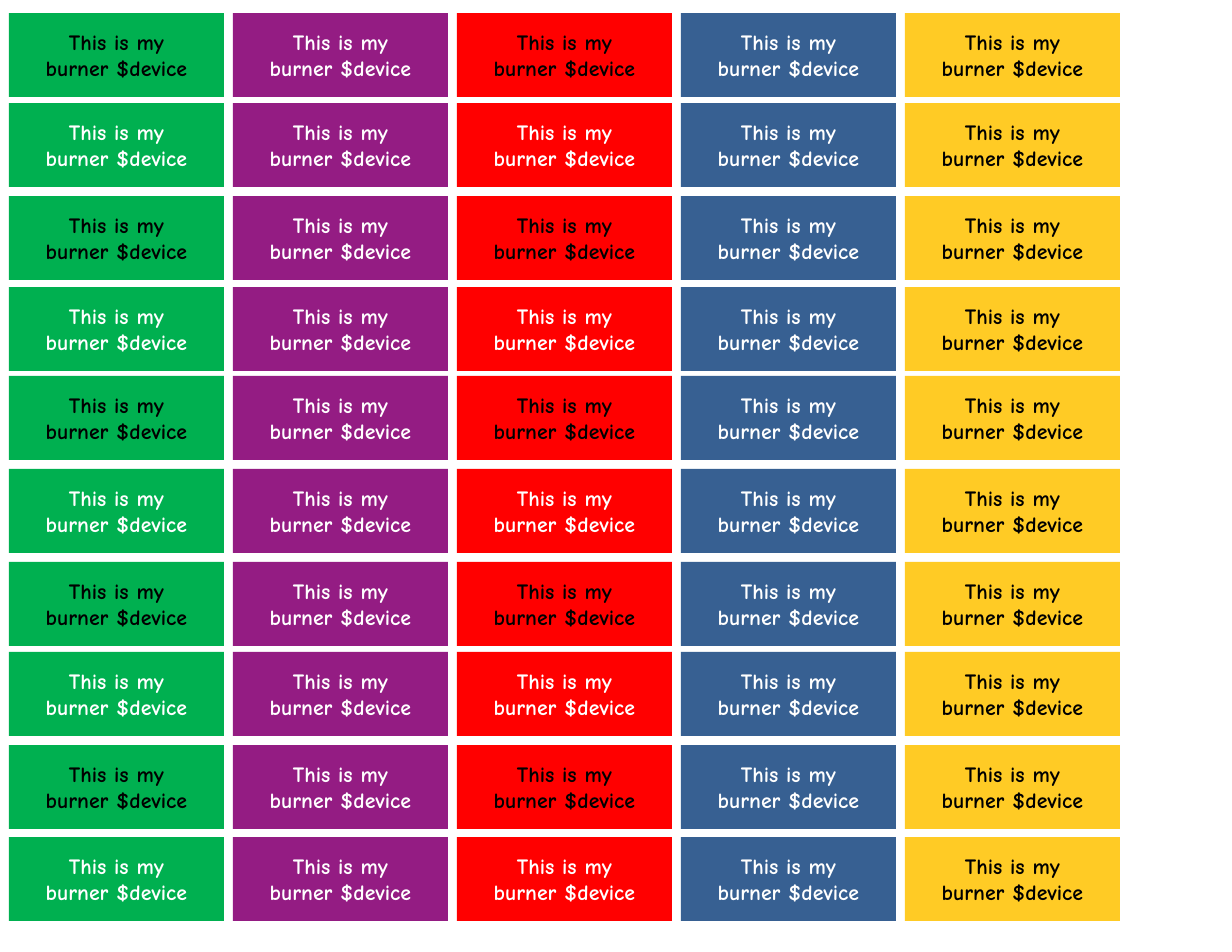
from pptx import Presentation
from pptx.dml.color import RGBColor
from pptx.enum.shapes import MSO_SHAPE
from pptx.enum.text import MSO_ANCHOR, PP_ALIGN
from pptx.util import Emu, Pt

RECT = MSO_SHAPE.RECTANGLE
MIDDLE = MSO_ANCHOR.MIDDLE
CENTER = PP_ALIGN.CENTER

FONT = "Comic Neue"
BLACK, WHITE = "000000", "FFFFFF"
LINES = ["This is my", "burner $device"]

# Column fill, then text colours for alternating rows
COLUMNS = [
    ("00B050", (BLACK, WHITE)),
    ("941C83", (WHITE, WHITE)),
    ("FF0000", (BLACK, WHITE)),
    ("376092", (WHITE, WHITE)),
    ("FFCB25", (BLACK, BLACK)),
]

# Label sheet, in px; row gaps vary slightly
LABEL_W, LABEL_H, PITCH = 215, 84, 224
ROWS = [0, 90, 183, 274, 363, 456, 549, 639, 732, 824]


def px(n):
    return Emu(round(n * 914400 / 112))


def color(code):
    return RGBColor.from_string(code)


def write(shape, lines, size=14, ink=BLACK, bold=True, align=CENTER):
    frame = shape.text_frame
    frame.word_wrap = True
    frame.vertical_anchor = MIDDLE
    frame.text = "\n".join(lines)
    for para in frame.paragraphs:
        para.alignment = align
        font = para.runs[0].font
        font.name, font.size, font.bold = FONT, Pt(size), bold
        font.color.rgb = color(ink)


def label(slide, x, y, w, h, fill, ink):
    box = slide.shapes.add_shape(RECT, px(x), px(y), px(w), px(h))
    box.shadow.inherit = False
    box.fill.solid()
    box.fill.fore_color.rgb = color(fill)
    box.line.fill.background()
    write(box, LINES, ink=ink)


def sheet(slide, left, top):
    for col, (fill, inks) in enumerate(COLUMNS):
        for row, drop in enumerate(ROWS):
            label(slide, left + col * PITCH, top + drop,
                  LABEL_W, LABEL_H, fill, inks[row % 2])


def main():
    deck = Presentation()
    deck.slide_width, deck.slide_height = px(1232), px(952)
    slide = deck.slides.add_slide(deck.slide_layouts[6])
    sheet(slide, 9, 13)
    deck.save("out.pptx")


if __name__ == "__main__":
    main()
